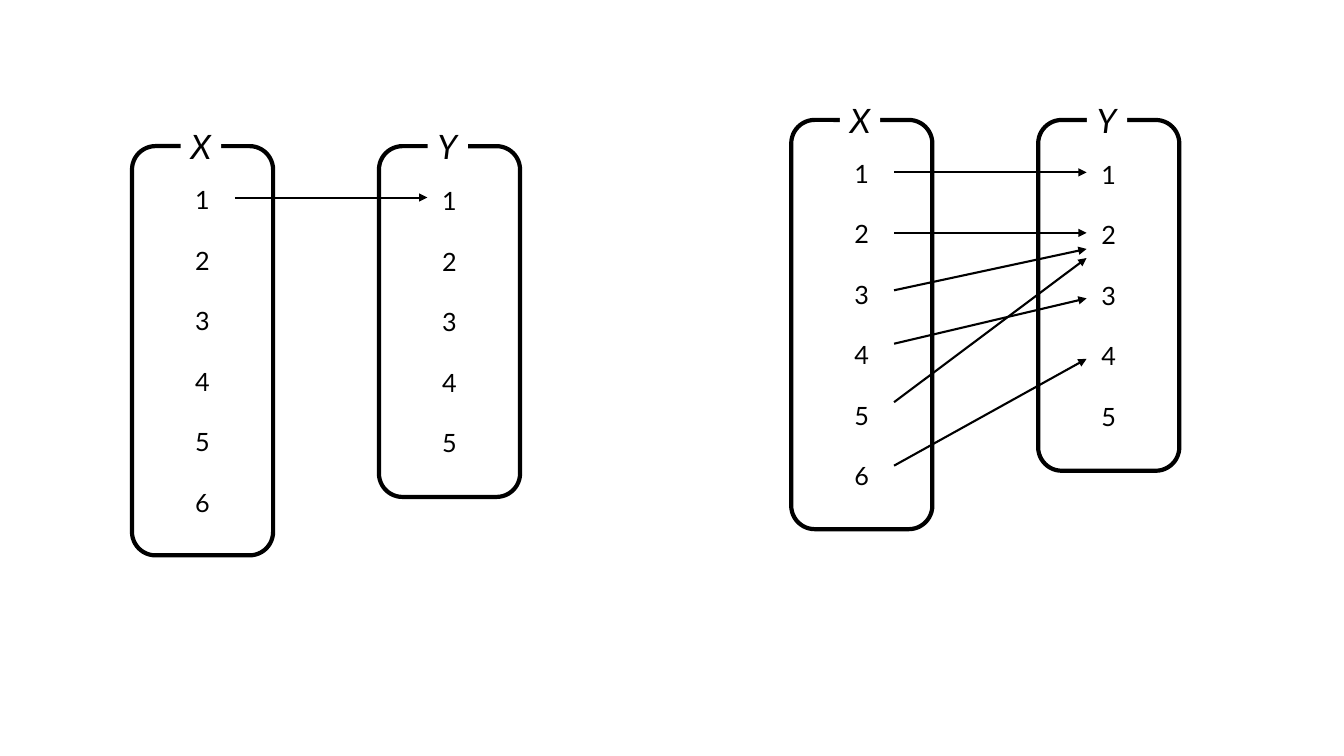
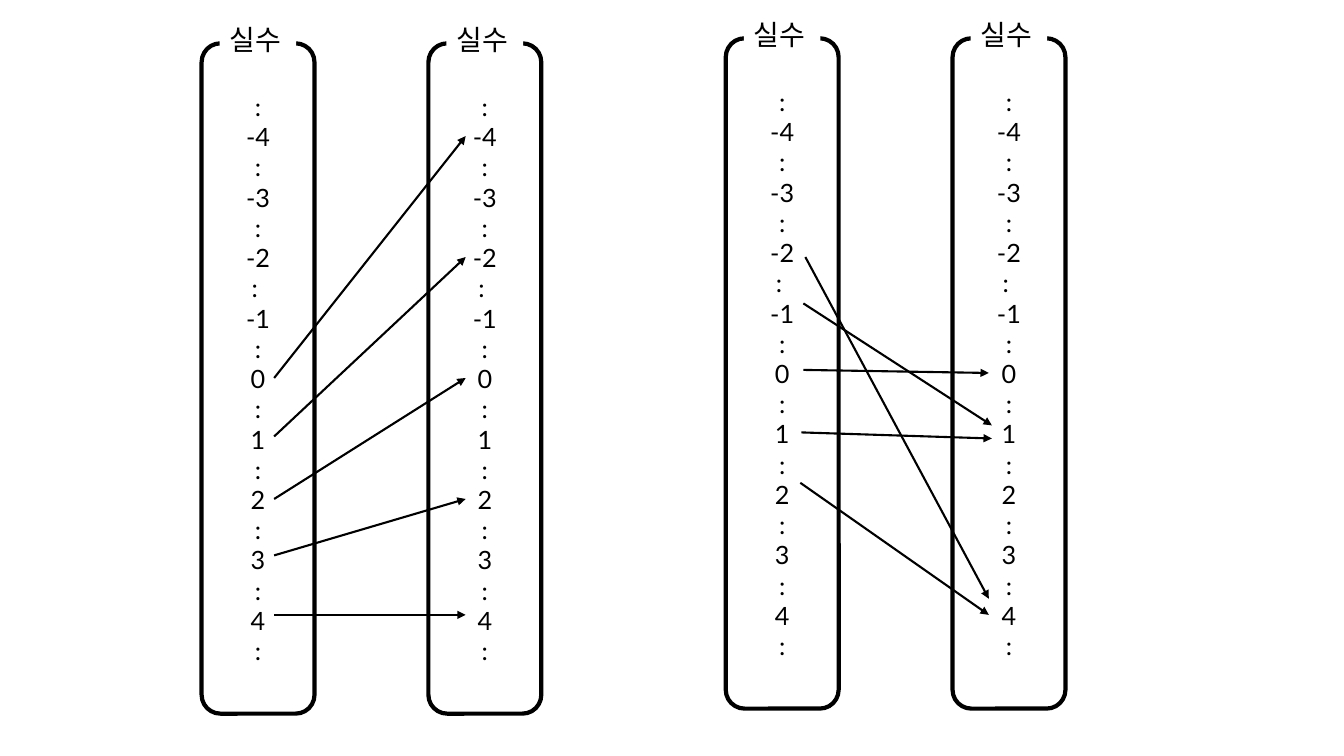
"""Build two slides of mapping diagrams between paired sets."""
from dataclasses import dataclass
from typing import NamedTuple

from lxml import etree
from pptx import Presentation
from pptx import util as u
from pptx.dml.color import RGBColor
from pptx.enum import shapes, text
from pptx.oxml import ns

EMU_PER_PX = 3048
SLIDE_WIDTH, SLIDE_HEIGHT = 4000, 2250
BLACK = RGBColor(0x00, 0x00, 0x00)
WHITE = RGBColor(0xFF, 0xFF, 0xFF)
FONT = "Lato"
ITEM_SIZE = 18


class Arrow(NamedTuple):
    start_x: int
    start_y: int
    end_x: int
    end_y: int


@dataclass(frozen=True)
class SetStyle:
    width: int
    pitch: int
    label_left: int
    label_top: int
    label_width: int
    label_height: int
    label_size: int
    italic: bool
    wrap: bool
    item_gap: float


@dataclass(frozen=True)
class NumberSet:
    label: str
    height: int
    items: tuple[str, ...]


@dataclass(frozen=True)
class Mapping:
    left: int
    top: int
    style: SetStyle
    sets: tuple[NumberSet, NumberSet]
    arrows: tuple[Arrow, ...]


LETTER_STYLE = SetStyle(420, 735, 145, -75, 120, 150, 24, True, False, 21.6)
REAL_STYLE = SetStyle(336, 675, 54, -78, 228, 132, 20, False, True, 0)

LETTER_SETS = (
    NumberSet("X", 1218, tuple(str(n) for n in range(1, 7))),
    NumberSet("Y", 1044, tuple(str(n) for n in range(1, 6))),
)
REAL_ITEMS = (":",) + tuple(
    item for n in range(-4, 5) for item in (str(n), ": " if n == -2 else ":")
)
REAL_SETS = (NumberSet("실수", 1995, REAL_ITEMS),) * 2


def straight_columns(start_x: int, end_x: int, *heights: tuple[int, int]) -> tuple[Arrow, ...]:
    """Return arrows that share their start and end columns."""
    return tuple(Arrow(start_x, start, end_x, end) for start, end in heights)


SLIDES = (
    (
        Mapping(2355, 357, LETTER_STYLE, LETTER_SETS, straight_columns(
            306, 879, (156, 156), (336, 336), (507, 384),
            (840, 411), (666, 531), (1029, 711))),
        Mapping(393, 435, LETTER_STYLE, LETTER_SETS,
                straight_columns(306, 879, (153, 153))),
    ),
    (
        Mapping(600, 129, REAL_STYLE, REAL_SETS, straight_columns(
            216, 786, (996, 276), (1170, 636), (1356, 996),
            (1524, 1356), (1701, 1701))),
        Mapping(2160, 114, REAL_STYLE, REAL_SETS, (
            Arrow(237, 651, 783, 1668),
            Arrow(231, 789, 792, 1152),
            Arrow(231, 987, 783, 996),
            Arrow(225, 1173, 792, 1191),
            Arrow(222, 1323, 783, 1716),
        )),
    ),
)


def px(length: int) -> u.Emu:
    """Convert pixels to EMU."""
    return u.Emu(length * EMU_PER_PX)


def add_run(para, words: str, size: int, italic: bool = False) -> None:
    """Add one formatted run to a paragraph."""
    span = para.add_run()
    span.text = words
    span.font.name = FONT
    span.font.size = u.Pt(size)
    span.font.italic = italic
    span.font.color.rgb = BLACK


def add_set(page, left: int, top: int, number_set: NumberSet, style: SetStyle) -> None:
    """Draw a rounded set with its items and the label on its top edge."""
    box = page.shapes.add_shape(
        shapes.MSO_SHAPE.ROUNDED_RECTANGLE,
        px(left), px(top), px(style.width), px(number_set.height))
    box.shadow.inherit = False
    box.fill.background()
    box.line.color.rgb = BLACK
    box.line.width = u.Pt(3)
    frame = box.text_frame
    frame.vertical_anchor = text.MSO_ANCHOR.MIDDLE
    for index, item in enumerate(number_set.items):
        para = frame.add_paragraph() if index else frame.paragraphs[0]
        para.alignment = text.PP_ALIGN.CENTER
        para.space_before = u.Pt(style.item_gap if index else 0)
        add_run(para, item, ITEM_SIZE)

    label = page.shapes.add_textbox(
        px(left + style.label_left), px(top + style.label_top),
        px(style.label_width), px(style.label_height))
    label.fill.solid()
    label.fill.fore_color.rgb = WHITE
    label.text_frame.word_wrap = style.wrap
    label.text_frame.auto_size = text.MSO_AUTO_SIZE.SHAPE_TO_FIT_TEXT
    add_run(label.text_frame.paragraphs[0], number_set.label, style.label_size, style.italic)


def add_arrow(page, left: int, top: int, arrow: Arrow) -> None:
    """Draw an arrow placed relative to the corner of its mapping."""
    connector = page.shapes.add_connector(
        shapes.MSO_CONNECTOR.STRAIGHT,
        px(left + arrow.start_x), px(top + arrow.start_y),
        px(left + arrow.end_x), px(top + arrow.end_y))
    connector.line.color.rgb = BLACK
    connector.line.width = u.Pt(1.5)
    properties = connector.element.spPr
    outline = properties.find(ns.qn("a:ln"))
    etree.SubElement(outline, ns.qn("a:tailEnd"), type="triangle")
    etree.SubElement(properties, ns.qn("a:effectLst"))


def add_mapping(page, mapping: Mapping) -> None:
    """Draw both sets of a mapping and the arrows between them."""
    for index, number_set in enumerate(mapping.sets):
        left = mapping.left + index * mapping.style.pitch
        add_set(page, left, mapping.top, number_set, mapping.style)
    for arrow in mapping.arrows:
        add_arrow(page, mapping.left, mapping.top, arrow)


def main() -> None:
    """Build and save the deck."""
    deck = Presentation()
    deck.slide_width, deck.slide_height = px(SLIDE_WIDTH), px(SLIDE_HEIGHT)
    for mappings in SLIDES:
        page = deck.slides.add_slide(deck.slide_layouts[6])
        for mapping in mappings:
            add_mapping(page, mapping)
    deck.save("out.pptx")


if __name__ == "__main__":
    main()
